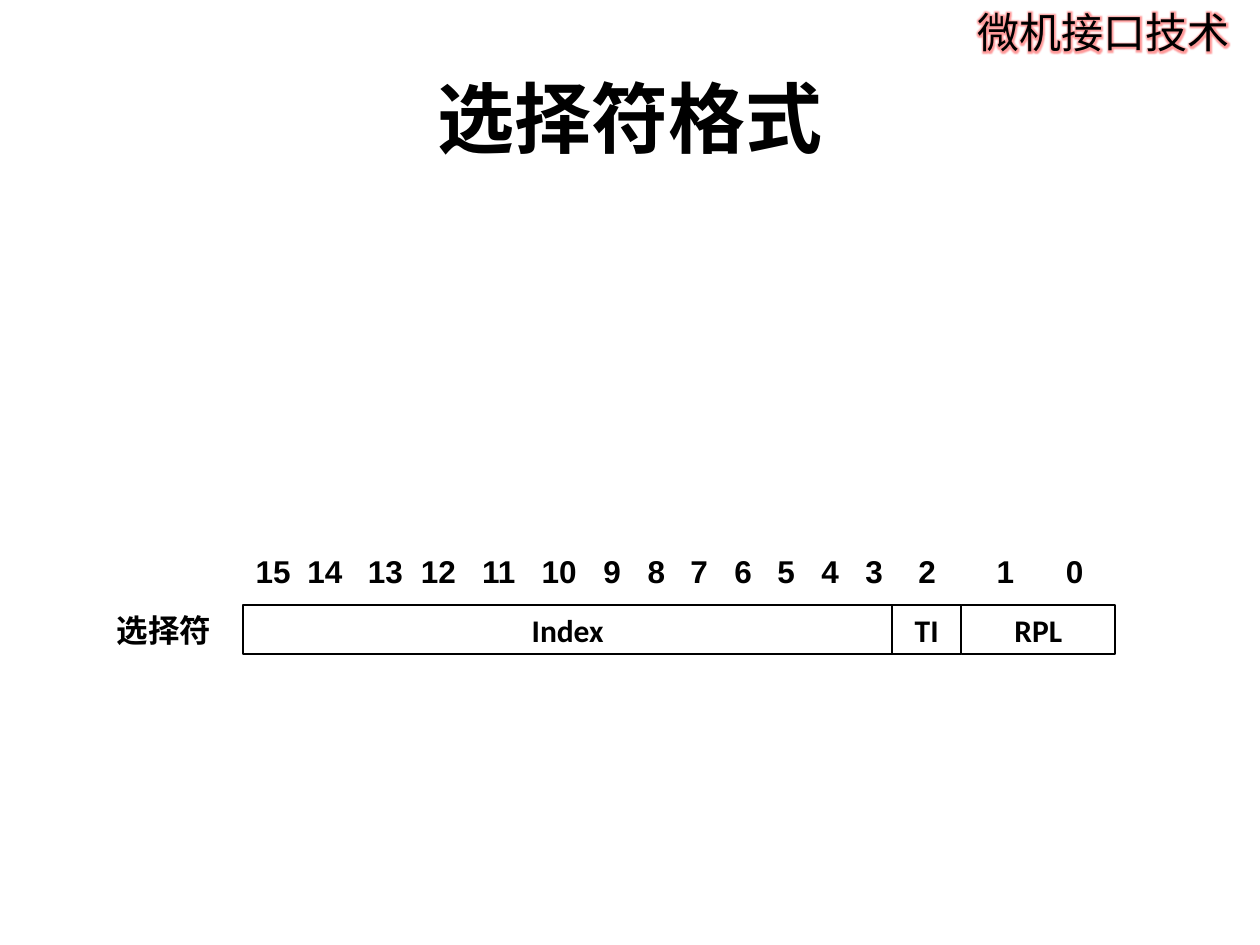
from lxml.etree import SubElement, fromstring
from pptx import Presentation
from pptx.dml.color import RGBColor
from pptx.enum.shapes import MSO_SHAPE
from pptx.enum.text import MSO_ANCHOR, PP_ALIGN
from pptx.oxml.ns import nsdecls, qn
from pptx.util import Inches, Pt

theme = {
    "ink": RGBColor.from_string("000000"),
    "glow": "FF0000",
    "head": {"size": Pt(24), "name": "Noto Sans CJK SC", "bold": False},
    "title": {"size": Pt(44), "name": "Calibri", "bold": True},
    "field": {"size": Pt(18), "name": "Calibri", "bold": True},
    "label": {"size": Pt(18), "name": "Arial", "bold": True},
}


def write(shape, text, style, align=PP_ALIGN.LEFT, anchor=MSO_ANCHOR.TOP):
    frame = shape.text_frame
    frame.word_wrap = True
    frame.vertical_anchor = anchor
    para = frame.paragraphs[0]
    para.alignment = align
    run = para.add_run()
    run.text = text
    for key, value in theme[style].items():
        setattr(run.font, key, value)
    run.font.color.rgb = theme["ink"]
    east = SubElement(run.font._element, qn("a:ea"))
    east.set("typeface", "Noto Sans CJK SC")
    return run


def box(parent, left, top, width, height):
    return parent.add_textbox(*map(Inches, (left, top, width, height)))


deck = Presentation()
deck.slide_width, deck.slide_height = Inches(10), Inches(7.5)
slide = deck.slides.add_slide(deck.slide_layouts[5])

# Course name with a soft red glow
run = write(box(slide.shapes, 7.66, 0, 2.34, 0.5), "微机接口技术", "head")
glow = fromstring(
    f'<a:effectLst {nsdecls("a")}><a:glow rad="63500">'
    f'<a:srgbClr val="{theme["glow"]}"><a:alpha val="40000"/></a:srgbClr>'
    "</a:glow></a:effectLst>")
run.font._element.find(qn("a:solidFill")).addnext(glow)

# Title
title = slide.shapes.title
title.left, title.top = Inches(0.5), Inches(0.3)
title.width, title.height = Inches(9), Inches(1.25)
write(title, "选择符格式", "title", PP_ALIGN.CENTER, MSO_ANCHOR.MIDDLE)

# Selector fields, side by side
group = slide.shapes.add_group_shape().shapes
left = 1.93
for name, width in (("Index", 5.15), ("TI", 0.55), ("RPL", 1.22)):
    field = group.add_shape(MSO_SHAPE.RECTANGLE, Inches(left), Inches(4.8),
                            Inches(width), Inches(0.39))
    field.shadow.inherit = False
    field.fill.background()
    field.line.color.rgb = theme["ink"]
    field.line.width = Pt(1)
    write(field, name, "field", PP_ALIGN.CENTER, MSO_ANCHOR.MIDDLE)
    left += width

# Bit numbers, centred on tab stops
stops = [0.55, 1.03, 1.45, 1.93, 2.41, 2.83, 3.18, 3.52, 3.87, 4.21, 4.56,
         4.91, 5.33, 5.95, 6.5]
bits = box(group, 1.93, 4.33, 7.42, 0.4)
tabs = SubElement(bits.text_frame.paragraphs[0]._p.get_or_add_pPr(),
                  qn("a:tabLst"))
for stop in stops:
    SubElement(tabs, qn("a:tab"), pos=str(Inches(stop)), algn="ctr")
write(bits, "\t".join(str(bit) for bit in range(15, -1, -1)), "label")

# Row label
write(box(group, 0.83, 4.8, 1.02, 0.4), "选择符", "label")

deck.save("out.pptx")
